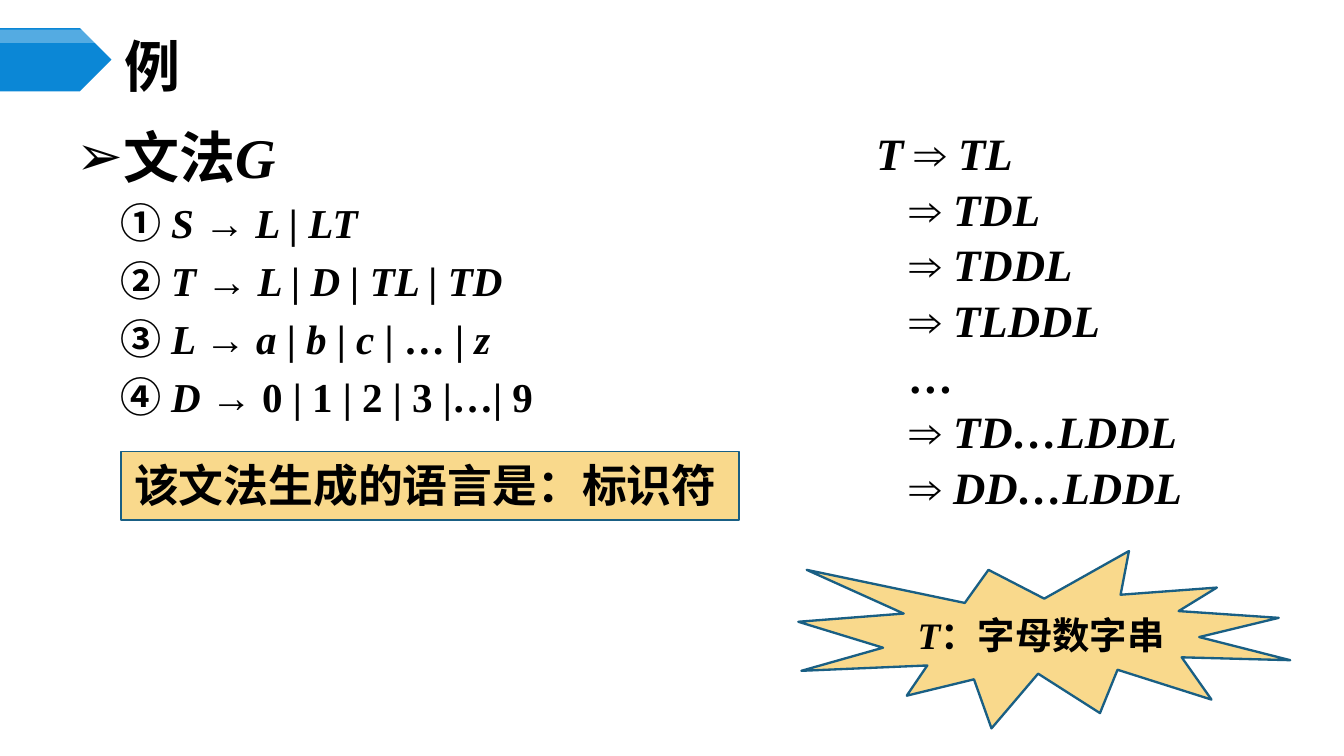
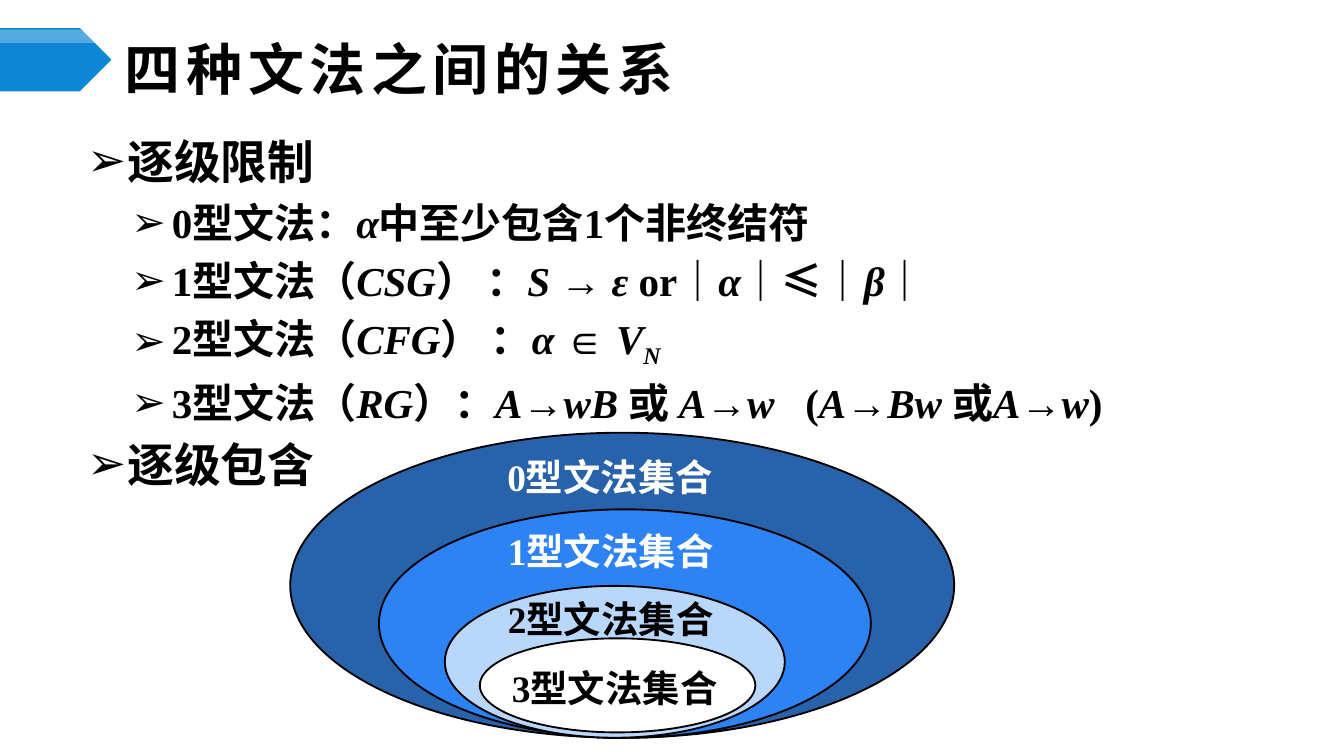
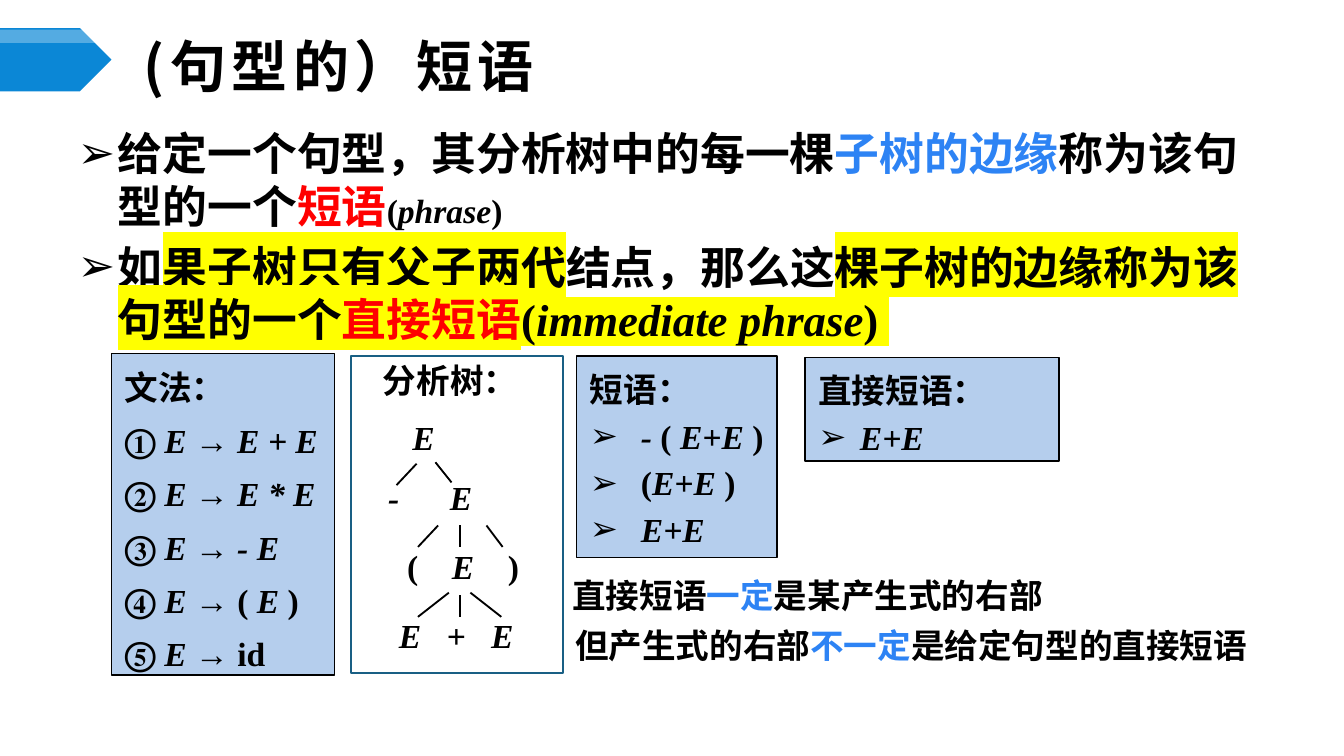
"""Build three slides on formal grammars, their hierarchy and phrases."""
from lxml import etree
from pptx import Presentation
from pptx.dml.color import RGBColor
from pptx.enum.shapes import MSO_CONNECTOR, MSO_SHAPE
from pptx.enum.text import MSO_ANCHOR, MSO_AUTO_SIZE, PP_ALIGN
from pptx.oxml.ns import qn
from pptx.util import Inches, Pt

BLACK = RGBColor(0x00, 0x00, 0x00)
WHITE = RGBColor(0xFF, 0xFF, 0xFF)
RED = RGBColor(0xFF, 0x00, 0x00)
BAND_BLUE = RGBColor(0x0B, 0x87, 0xD6)
BRIGHT_BLUE = RGBColor(0x2D, 0x83, 0xF4)
DEEP_BLUE = RGBColor(0x28, 0x62, 0xAA)
PALE_BLUE = RGBColor(0xB9, 0xD6, 0xFB)
PANEL_BLUE = RGBColor(0xB5, 0xCE, 0xED)
EDGE_BLUE = RGBColor(0x19, 0x5F, 0x84)
SAND = RGBColor(0xF9, 0xD9, 0x8C)
YELLOW = "FFFF00"

SERIF = "Times New Roman"
SANS = "Noto Sans CJK SC"
MONO = "Noto Sans Mono"

RECTANGLE = MSO_SHAPE.RECTANGLE
OVAL = MSO_SHAPE.OVAL
PENTAGON = MSO_SHAPE.PENTAGON
BURST = MSO_SHAPE.EXPLOSION1
STRAIGHT = MSO_CONNECTOR.STRAIGHT
TOP, MIDDLE = MSO_ANCHOR.TOP, MSO_ANCHOR.MIDDLE
FIXED, GROW = MSO_AUTO_SIZE.NONE, MSO_AUTO_SIZE.SHAPE_TO_FIT_TEXT
LEFT, CENTER, JUSTIFY = PP_ALIGN.LEFT, PP_ALIGN.CENTER, PP_ALIGN.JUSTIFY


def style(size, name=SERIF, color=BLACK, **extra):
    """Return the format values of bold text."""
    return {"size": Pt(size), "name": name, "color": color, "bold": True, **extra}


def line(*spans, indent=0, hang=0, bullet=False, **layout):
    """Describe one paragraph; each span is text or (text, format changes)."""
    return {"spans": spans, "indent": indent, "hang": hang, "bullet": bullet,
            "layout": layout}


def wide_space(points):
    """Return a space widened by the given number of points."""
    return " ", {"spacing": round(points * 100)}


def add_span(para, text, values):
    """Add one run with the given format values."""
    span = para.add_run()
    span.text = text
    properties = span.font._element
    values = dict(values)
    span.font.color.rgb = values.pop("color")
    highlight = values.pop("highlight", None)
    spacing = values.pop("spacing", None)
    baseline = values.pop("baseline", None)
    if highlight:
        mark = etree.SubElement(properties, qn("a:highlight"))
        etree.SubElement(mark, qn("a:srgbClr"), val=highlight)
    for name, value in values.items():
        setattr(span.font, name, value)
    etree.SubElement(properties, qn("a:ea"), typeface=SANS)
    for name, value in {"spc": spacing, "baseline": baseline}.items():
        if value is not None:
            properties.set(name, str(value))


def format_paragraph(para, entry, first):
    """Apply indents, bullet and spacing to a paragraph."""
    properties = para._p.get_or_add_pPr()
    properties.set("marL", str(Inches(entry["indent"])))
    properties.set("indent", str(Inches(-entry["hang"])))
    if entry["bullet"]:
        etree.SubElement(properties, qn("a:buFont"), typeface="Arial")
        etree.SubElement(properties, qn("a:buChar"), char="➢")
    else:
        etree.SubElement(properties, qn("a:buNone"))
    para.alignment = LEFT
    for name, value in entry["layout"].items():
        if not (first and name == "space_before"):
            setattr(para, name, value)


def write(frame, lines, base, wrap=True, anchor=TOP, size=FIXED):
    """Fill a text frame; underscores in a span switch italics on and off."""
    frame.word_wrap, frame.vertical_anchor, frame.auto_size = wrap, anchor, size
    for number, entry in enumerate(lines):
        para = frame.add_paragraph() if number else frame.paragraphs[0]
        format_paragraph(para, entry, first=number == 0)
        for item in entry["spans"]:
            text, changes = (item, {}) if isinstance(item, str) else item
            for part, piece in enumerate(text.split("_")):
                if piece:
                    add_span(para, piece, {**base, "italic": part % 2 == 1, **changes})


def add_text(page, place, lines, base, **options):
    """Add a text box at (left, top, width, height)."""
    box = page.shapes.add_textbox(*map(Inches, place))
    write(box.text_frame, lines, base, **options)


def add_figure(page, kind, place, fill=None, edge=None, width=1):
    """Add a preset shape with a plain fill and outline."""
    figure = page.shapes.add_shape(kind, *map(Inches, place))
    figure.shadow.inherit = False
    if fill is None:
        figure.fill.background()
    else:
        figure.fill.solid()
        figure.fill.fore_color.rgb = fill
    if edge is None:
        figure.line.fill.background()
    else:
        figure.line.color.rgb = edge
        figure.line.width = Pt(width)
    return figure


def add_branch(page, start, end):
    """Draw one edge of the parse tree."""
    branch = page.shapes.add_connector(STRAIGHT, *map(Inches, start + end))
    branch.line.color.rgb = BLACK
    branch.line.width = Pt(1)
    etree.SubElement(branch._element.spPr, qn("a:effectLst"))


def add_page(deck, title, top=0.29):
    """Add a slide with its title and the arrow band."""
    page = deck.slides.add_slide(deck.slide_layouts[5])
    heading = page.shapes.title
    bounds = {"left": 0.83, "top": top, "width": 8.67, "height": 0.39}
    for name, value in bounds.items():
        setattr(heading, name, Inches(value))
    write(heading.text_frame, [line(title)], style(30, SANS, spacing=300), anchor=MIDDLE)
    add_figure(page, PENTAGON, (0, 0.21, 0.83, 0.47), BAND_BLUE)
    gloss = add_figure(page, PENTAGON, (0, 0.22, 0.83, 0.1), WHITE)
    color = gloss.fill._xPr.find(qn("a:solidFill"))[0]
    etree.SubElement(color, qn("a:alpha"), val="30000")
    return page


def build_example(deck):
    """Build the example grammar with its derivation."""
    page = add_page(deck, "例")
    rules = ["_S → L | LT_", "_T → L | D | TL | TD_",
             "_L → a_ | _b _| _c_ | … | _z_", "_D → _0 | 1 | 2 | 3 |…| 9"]
    lines = [line(("文法_G_", {"size": Pt(30)}), indent=0.3, hang=0.3, bullet=True)]
    lines += [line((mark + " ", {"name": SANS}), rule, indent=0.33, space_before=Pt(4.6))
              for mark, rule in zip("①②③④", rules)]
    add_text(page, (0.47, 0.86, 6.48, 2.44), lines, style(22))

    spacing = {"line_spacing": Pt(25), "space_before": Pt(4.8)}
    steps = ["⇒ _TDL_", "⇒ _TDDL_", "⇒ _TLDDL_", "_…_", "⇒ _TD…LDDL_", "⇒ _DD…LDDL_"]
    lines = [line("_T_ ⇒ _TL_", **spacing)]
    lines += [line(step, indent=0.25, **spacing) for step in steps]
    add_text(page, (6.42, 0.94, 2.59, 3.04), lines, style(24), wrap=False, size=GROW)

    burst = add_figure(page, BURST, (5.94, 4.1, 3.66, 1.32), SAND, EDGE_BLUE, 1.25)
    write(burst.text_frame, [line("_T_", ("：字母数字串", {"name": SANS}), alignment=CENTER)],
          style(20), anchor=MIDDLE)
    answer = add_figure(page, RECTANGLE, (0.9, 3.36, 4.6, 0.51), SAND, EDGE_BLUE)
    write(answer.text_frame, [line("该文法生成的语言是：标识符")], style(24, "Arial"),
          wrap=False, size=GROW)


def build_hierarchy(deck):
    """Build the four grammar types as nested sets."""
    page = add_page(deck, "四种文法之间的关系", top=0.31)
    types = [
        ["0型文法：_α_中至少包含1个非终结符"],
        ["1型文法（_CSG_） ：_S → ε _or｜_α_｜≤｜_β_｜"],
        ["2型文法（_CFG_） ：_α_ ∈ _V_", ("_N_", {"baseline": -25000})],
        ["3型文法（_RG_）：_A_→_wB _或 _A_→_w_", wide_space(11),
         "(_A_→_Bw _或_A_→_w_)"],
    ]
    spacing = {"space_before": Pt(4.6), "bullet": True, "hang": 0.3}
    first, last = [line((text, {"size": Pt(25)}), indent=0.3, **spacing)
                   for text in ("逐级限制", "逐级包含")]
    lines = [first, *[line(*spans, indent=0.63, **spacing) for spans in types], last]
    add_text(page, (0.55, 0.94, 9.05, 3.53), lines, style(22))

    rings = [((2.16, 3.22, 4.94, 2.27), DEEP_BLUE), ((2.82, 3.79, 3.66, 1.7), BRIGHT_BLUE),
             ((3.31, 4.36, 2.53, 1.13), PALE_BLUE), ((3.57, 4.75, 2.05, 0.7), WHITE)]
    for place, fill in rings:
        add_figure(page, OVAL, place, fill, BLACK)
    labels = [((3.19, 3.33, 2.7, 0.44), WHITE, CENTER), ((3.68, 3.88, 1.92, 0.44), WHITE, LEFT),
              ((3.68, 4.39, 2.02, 0.44), BLACK, LEFT), ((3.71, 4.9, 1.99, 0.44), BLACK, LEFT)]
    for number, (place, color, align) in enumerate(labels):
        add_text(page, place, [line(f"{number}型文法集合", alignment=align)],
                 style(20, color=color), size=GROW)


def add_phrase_panel(page, place, heading, phrases, indent, wrap):
    """Add a panel that lists phrases under a heading."""
    panel = add_figure(page, RECTANGLE, place, PANEL_BLUE, BLACK, 0.75)
    lines = [line((heading, {"name": SANS}), line_spacing=Pt(25))]
    lines += [line(phrase, indent=indent, hang=indent, bullet=True, line_spacing=Pt(25))
              for phrase in phrases]
    write(panel.text_frame, lines, style(18), wrap=wrap, size=GROW)


def add_parse_tree(page):
    """Draw the framed parse tree."""
    add_figure(page, RECTANGLE, (2.61, 2.65, 1.58, 2.36), edge=EDGE_BLUE, width=1.25)
    add_text(page, (2.75, 2.63, 1.21, 0.42), [line("分析树：")], style(18, SANS),
             wrap=False, size=GROW)
    rows = [((2.97, 3.05, 0.33, 0.42), ["_E_"], 0),
            ((2.79, 3.5, 0.9, 0.4), ["_-_", "_E_"], 22.5),
            ((2.93, 4.01, 1.05, 0.4), ["(", "_E_", ")"], 13.5),
            ((2.87, 4.53, 1.12, 0.4), ["_E_", "_+_", "_E_"], 9)]
    for place, nodes, gap in rows:
        spans = [nodes[0]]
        for node in nodes[1:]:
            spans += [wide_space(gap), node]
        add_text(page, place, [line(*spans)], style(18), wrap=False, size=GROW)
    branches = [((3.1, 3.45), (2.95, 3.61)), ((3.24, 3.44), (3.36, 3.59)),
                ((3.26, 3.91), (3.11, 4.07)), ((3.42, 3.91), (3.42, 4.07)),
                ((3.62, 3.91), (3.74, 4.07)), ((3.34, 4.41), (3.11, 4.59)),
                ((3.42, 4.43), (3.42, 4.59)), ((3.5, 4.41), (3.73, 4.59))]
    for start, end in branches:
        add_branch(page, start, end)


def build_phrases(deck):
    """Build the definitions of phrase and immediate phrase."""
    page = add_page(deck, " (句型的）短语")
    marked = {"highlight": YELLOW}
    blue = {"color": BRIGHT_BLUE}
    serif = {"name": SERIF}
    layout = {"indent": 0.3, "hang": 0.3, "bullet": True,
              "line_spacing": Pt(28), "space_before": Pt(4.8)}
    definitions = [
        line(("给定一个句型，其", serif), "分析树中的每一棵", ("子树的边缘", blue),
             "称为该句型的一个", ("短语", {"color": RED}),
             ("(_phrase_)", {**serif, "size": Pt(18)}), **layout),
        line("如", ("果子树只有父子两代", marked), "结点，那么这",
             ("棵子树的边缘称为该句型的一个", marked),
             ("直接短语", {**marked, "color": RED}),
             ("(_immediate_ _phrase_) ", {**marked, **serif}), **layout),
    ]
    add_text(page, (0.48, 0.9, 8.93, 2.1), definitions, style(24, MONO))

    add_phrase_panel(page, (4.29, 2.65, 1.49, 1.5), "短语：",
                     ["_- _( _E+E _)", "(_E+E _)", "_E+E_"], 0.38, False)
    add_phrase_panel(page, (5.99, 2.66, 1.89, 0.77), "直接短语：", ["_E+E_"], 0.31, True)

    remarks = [((4.16, 4.23, 3.82, 0.4), "直接短语", "一定", "是某产生式的右部"),
               ((4.18, 4.6, 5.25, 0.4), "但产生式的右部", "不一定", "是给定句型的直接短语")]
    for place, before, key, after in remarks:
        add_text(page, place, [line(before, (key, blue), after)], style(18, SANS),
                 wrap=False, size=GROW)

    add_parse_tree(page)
    rules = ["_E → E + E_", "_E → E * E_", "_E → - E_", "_E → _(_ E _)", "_E → _id"]
    texts = ["文法："] + [f"{mark} {rule}" for mark, rule in zip("①②③④⑤", rules)]
    grammar = add_figure(page, RECTANGLE, (0.83, 2.63, 1.66, 2.39), PANEL_BLUE, BLACK)
    write(grammar.text_frame,
          [line(text, alignment=JUSTIFY, line_spacing=Pt(25), space_before=Pt(3.6))
           for text in texts], style(18))


def main():
    """Build and save the deck."""
    deck = Presentation()
    deck.slide_width, deck.slide_height = Inches(10), Inches(10) * 9 // 16
    build_example(deck)
    build_hierarchy(deck)
    build_phrases(deck)
    deck.save("out.pptx")


if __name__ == "__main__":
    main()
